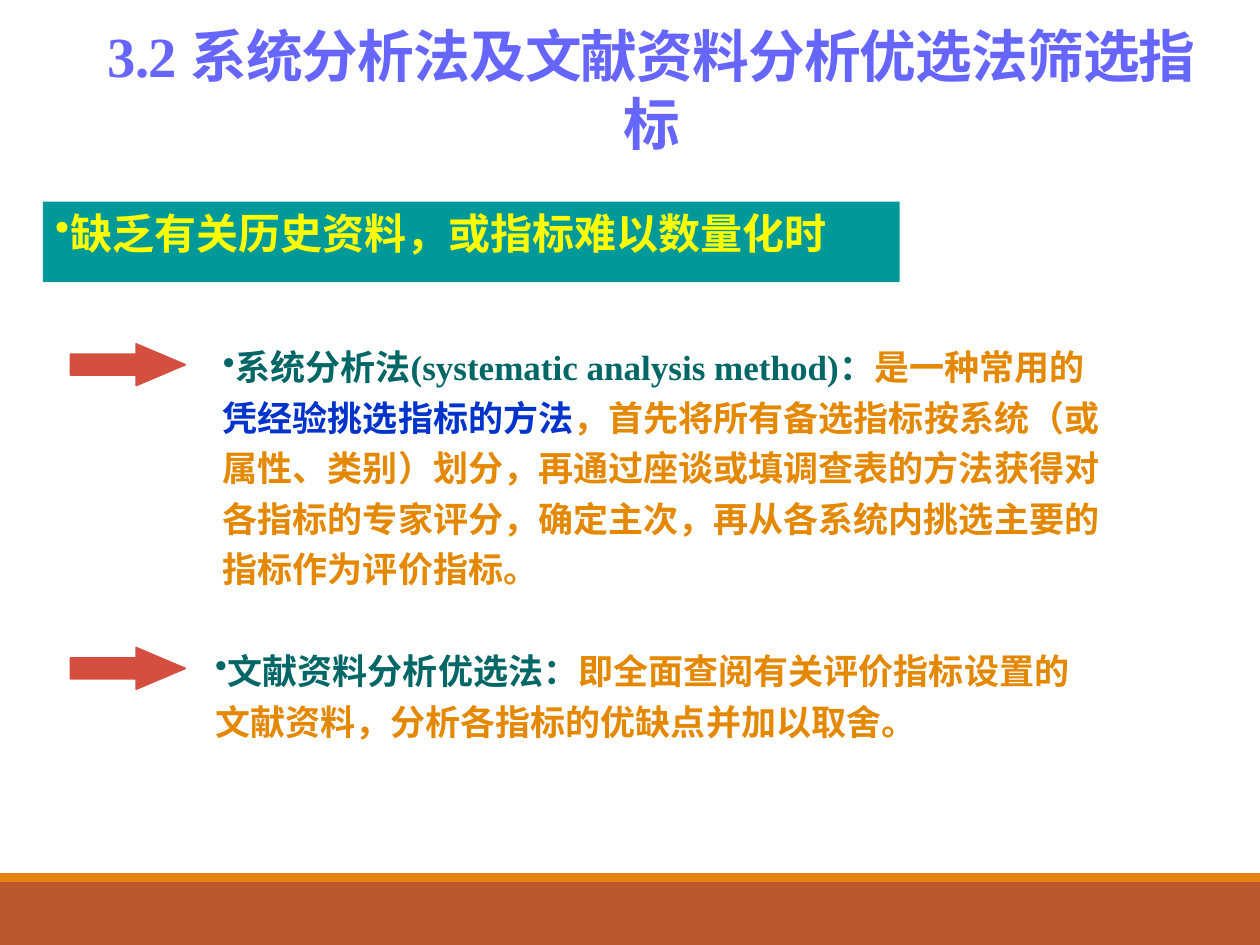
import pptx
import pptx.util
import pptx.dml.color
import pptx.enum.shapes
import pptx.enum.text
import pptx.oxml
import pptx.oxml.ns
from dataclasses import dataclass

Inches, Pt = pptx.util.Inches, pptx.util.Pt
Shape = pptx.enum.shapes.MSO_SHAPE
Anchor = pptx.enum.text.MSO_ANCHOR
Align = pptx.enum.text.PP_ALIGN


@dataclass(frozen=True)
class Theme:
    font: str = "Times New Roman"
    title: str = "6666FF"
    banner: str = "009999"
    yellow: str = "FFFF00"
    term: str = "006666"
    body: str = "E48800"
    stress: str = "0033CC"
    arrow: str = "D54F41"
    foot: str = "BD582C"
    stripe: str = "E48312"
    head: float = 32.4
    lead: float = 24
    text: float = 20


theme = Theme()


def color(code):
    return pptx.dml.color.RGBColor.from_string(code)


def block(slide, kind, box, fill):
    shape = slide.shapes.add_shape(kind, *map(Inches, box))
    shape.shadow.inherit = False
    shape.fill.solid()
    shape.fill.fore_color.rgb = color(fill)
    shape.line.fill.background()
    return shape


def write(shape, runs, size, align=Align.LEFT, anchor=Anchor.TOP):
    """Fill a shape with one bold paragraph of (text, colour) runs."""
    frame = shape.text_frame
    frame.word_wrap = True
    frame.vertical_anchor = anchor
    para = frame.paragraphs[0]
    para.alignment = align
    para.font.name = theme.font
    para.font.size = Pt(size)
    para.font.bold = True
    for text, code in runs:
        run = para.add_run()
        run.text = text
        run.font.color.rgb = color(code)
    return para


def bullet(para):
    props = para._p.get_or_add_pPr()
    mark = pptx.oxml.parse_xml(
        f'<a:buChar {pptx.oxml.ns.nsdecls("a")} char="•"/>')
    props.insert_element_before(mark, "a:tabLst", "a:defRPr", "a:extLst")


def footer(slide, box):
    left, top, width, height = box
    thin = 0.07
    block(slide, Shape.RECTANGLE, (left, top + thin, width, height - thin), theme.foot)
    block(slide, Shape.RECTANGLE, (left, top, width, thin), theme.stripe)


def title(slide, box, text):
    shape = slide.shapes.add_textbox(*map(Inches, box))
    para = write(shape, [(text, theme.title)], theme.head, Align.CENTER, Anchor.MIDDLE)
    para.runs[0].font._element.set("spc", "-50")


def banner(slide, box, text):
    shape = block(slide, Shape.RECTANGLE, box, theme.banner)
    bullet(write(shape, [(text, theme.yellow)], theme.lead))


def method(slide, box, inset, runs):
    """Place an arrow at the left of the box and the text after the inset."""
    left, top, width, height = box
    arrow = block(slide, Shape.RIGHT_ARROW, (left, top + 0.1, 0.91, 0.33), theme.arrow)
    arrow.adjustments[0] = 0.5
    arrow.adjustments[1] = 1.18
    arrow.line.color.rgb = color(theme.arrow)
    arrow.line.width = Pt(1)
    area = (left + inset, top, width - inset, height)
    para = write(slide.shapes.add_textbox(*map(Inches, area)), runs, theme.text)
    para.line_spacing = 1.2
    bullet(para)


def main():
    deck = pptx.Presentation()
    deck.slide_width, deck.slide_height = Inches(10), Inches(7.5)
    slide = deck.slides.add_slide(deck.slide_layouts[6])
    footer(slide, (0, 6.93, 10, 0.57))
    title(slide, (0.56, 0.08, 9.22, 1.25), "3.2 系统分析法及文献资料分析优选法筛选指标")
    banner(slide, (0.34, 1.6, 6.8, 0.64), "缺乏有关历史资料，或指标难以数量化时")
    method(slide, (0.56, 2.63, 8.35, 2.1), 1.11, [
        ("系统分析法(systematic analysis method)：", theme.term),
        ("是一种常用的", theme.body),
        ("凭经验挑选指标的方法", theme.stress),
        ("，首先将所有备选指标按系统（或属性、类别）划分，"
         "再通过座谈或填调查表的方法获得对各指标的专家评分，确定主次，"
         "再从各系统内挑选主要的指标作为评价指标。", theme.body),
    ])
    method(slide, (0.56, 5.04, 8.24, 1.3), 1.05, [
        ("文献资料分析优选法：", theme.term),
        ("即全面查阅有关评价指标设置的文献资料，"
         "分析各指标的优缺点并加以取舍。", theme.body),
    ])
    deck.save("out.pptx")


if __name__ == "__main__":
    main()
